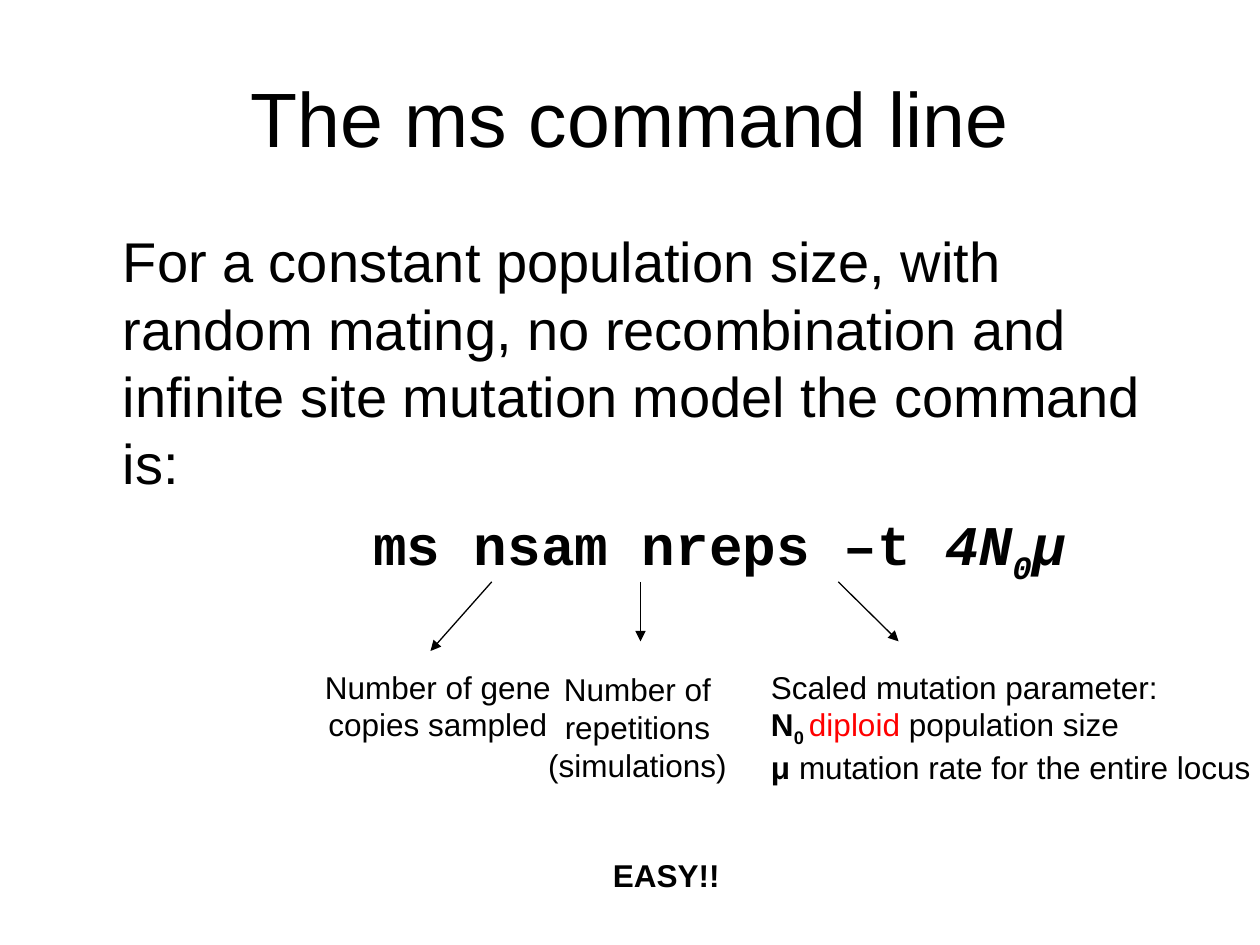
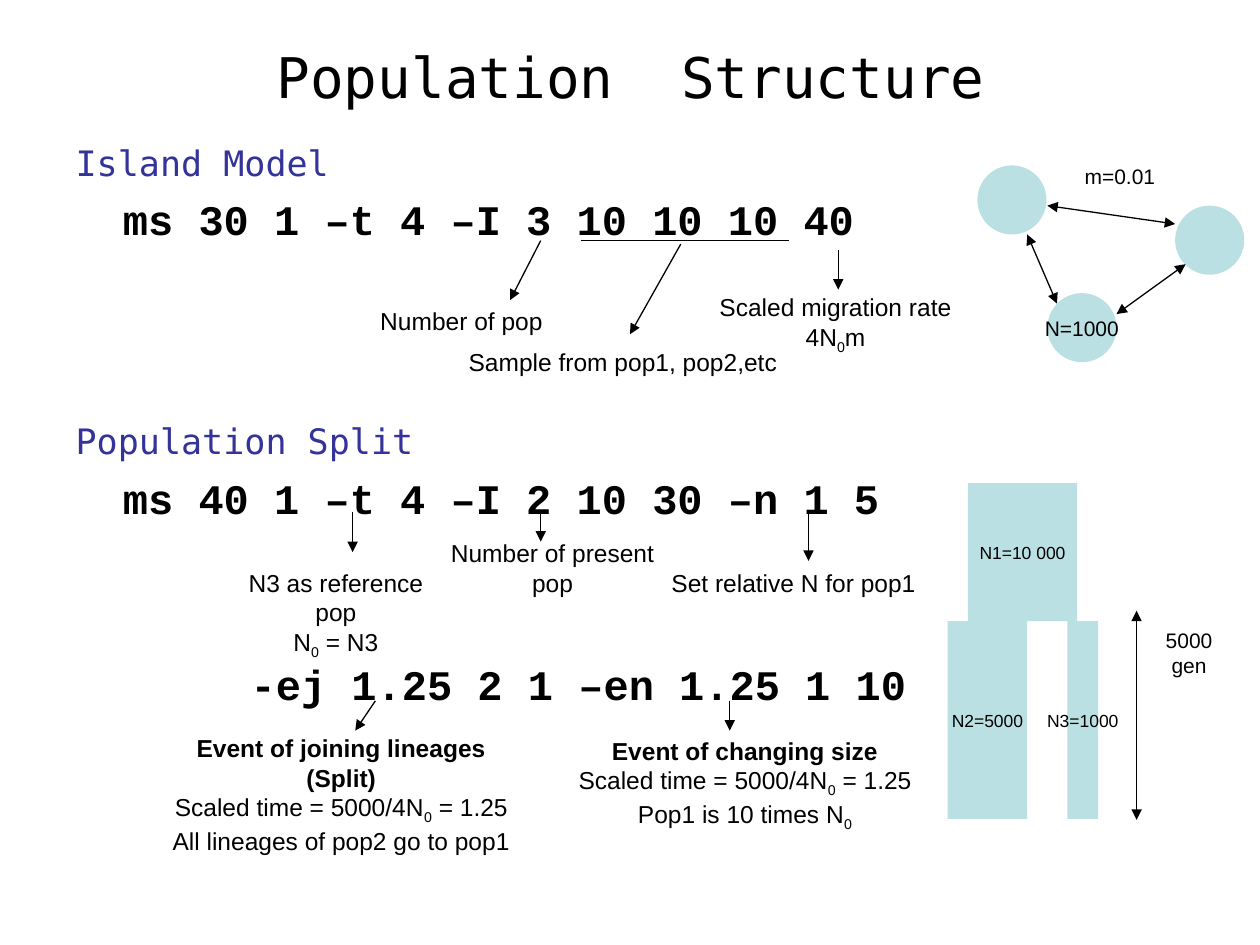
from dataclasses import dataclass

from lxml.etree import SubElement
from pptx import Presentation
from pptx.dml.color import RGBColor
from pptx.enum.shapes import MSO_CONNECTOR, MSO_SHAPE
from pptx.enum.text import MSO_ANCHOR as Anchor, MSO_AUTO_SIZE as AutoSize, PP_ALIGN as Align
from pptx.oxml.ns import qn
from pptx.util import Pt


@dataclass(frozen=True)
class Theme:
    ink: RGBColor = RGBColor(0, 0, 0)
    heading: RGBColor = RGBColor(0x33, 0x33, 0x99)
    alert: RGBColor = RGBColor(0xFF, 0, 0)
    population: RGBColor = RGBColor(0xBB, 0xE0, 0xE3)
    sans: str = "Arial"
    code: str = "Courier New"
    mono: str = "DejaVu Sans Mono"
    large: int = 18
    medium: int = 14
    small: int = 12
    tiny: int = 10
    line: float = 0.75


THEME = Theme()
PLAIN = {"name": THEME.sans, "color": THEME.ink, "bold": False}
TEXT = {**PLAIN, "size": Pt(32)}
HEADING = {**PLAIN, "name": THEME.mono, "size": Pt(20), "color": THEME.heading}
COMMAND = {**PLAIN, "name": THEME.code, "size": Pt(24), "bold": True}
BIG_COMMAND = {**COMMAND, "size": Pt(32)}
BOLD = {"bold": True}
SUB = {"baseline": -25}
ITALIC = {"italic": True}

# A line is a list of runs; a run is a string or (string, format changes).
N0 = ["N", ("0", SUB)]
SCALED_TIME = ["Scaled time = 5000/4", *N0, " = 1.25"]

COMMAND_LINE = {
    "title": ("The ms command line", (36, 21.5, 648, 90), {**PLAIN, "size": Pt(44)}),
    "body_box": (36, 126, 648, 399),
    # runs, format, left margin, space before
    "body": [
        (["For a constant population size, with random mating, no recombination "
          "and infinite site mutation model the command is:"], TEXT, 27, 8),
        (["ms nsam nreps –t ", ("4N", ITALIC), ("0", {**ITALIC, **SUB}),
          ("μ", {**ITALIC, "name": THEME.sans})], BIG_COMMAND, 170, 8),
    ],
    "arrows": [
        (281, 332.5, 246, 372),
        (366, 332.5, 366, 366.5),
        (479, 332.5, 513.5, 366.5),
    ],
    # box, lines, size, alignment, wrap
    "labels": [
        ((178.5, 378, 143.5, 50.5), [["Number of gene copies sampled"]],
         THEME.large, Align.CENTER, True),
        ((292.5, 379.5, 143.5, 72), [["Number of repetitions (simulations)"]],
         THEME.large, Align.CENTER, True),
        ((433.5, 378, 332, 75), [
            ["Scaled mutation parameter:"],
            [("N", BOLD), ("0 ", {**BOLD, **SUB}), ("diploid", {"color": THEME.alert}),
             " population size"],
            [("μ", BOLD), " mutation rate for the entire locus"],
        ], THEME.large, Align.LEFT, True),
        ((309, 485.5, 143.5, 29), [[("EASY!!", BOLD)]], THEME.large, Align.CENTER, True),
    ],
}


def caption(left, top, width, lines, size=THEME.medium):
    """A centred, unwrapped label whose height follows its number of lines."""
    return (left, top, width, 7.2 + 1.2 * size * len(lines)), lines, size, Align.CENTER, False


STRUCTURE = {
    "title": ("Population  Structure", (36.5, -1.5, 648, 90),
              {**PLAIN, "name": THEME.mono, "size": Pt(32)}),
    "body_box": (36, 77, 648, 465),
    "body": [
        (["Island Model"], HEADING, 0, 5),
        (["ms 30 1 –t 4 –I 3 10 10 10 40"], COMMAND, 27, 6),
        (["Population Split"], HEADING, 0, 100.5),
        (["ms 40 1 –t 4 –I 2 10 30 –n 1 5"], COMMAND, 27, 6),
        (["-ej 1.25 2 1 –en 1.25 1 10"], COMMAND, 100, 77.5),
    ],
    "arrows": [
        (309, 137.5, 291.5, 171.5),
        (389, 139.5, 360, 191),
        (479, 143, 479, 165.5),
        (309, 292.5, 309, 309.5),
        (462, 292.5, 462, 320.5),
        (201.5, 292.5, 201.5, 315.5),
        (214.5, 400.5, 203, 417.5),
        (417, 400.5, 417, 417.5),
    ],
    "labels": [
        caption(612.5, 90, 55, [["m=0.01"]], THEME.small),
        caption(210, 171.5, 107.5, [["Number of pop"]]),
        caption(260.5, 195, 191, [["Sample from pop1, pop2,etc"]]),
        caption(404, 163.5, 147, [["Scaled migration rate"], ["4", *N0, "m"]]),
        caption(647.5, 355, 64, [["5000 gen"]], THEME.small),
        caption(237, 304, 157.5, [["Number of present pop"]]),
        caption(376.5, 321, 154, [["Set relative N for pop1"]]),
        caption(121.5, 321, 141, [["N3 as reference pop"], [*N0, " = N3"]]),
        caption(83.5, 415.5, 223, [[("Event of joining lineages (Split)", BOLD)], SCALED_TIME,
                                   ["All lineages of pop2 go to pop1"]]),
        caption(323.5, 417, 204.5, [[("Event of changing size", BOLD)], SCALED_TIME,
                                    ["Pop1 is 10 times ", *N0]]),
    ],
}
ISLAND_SIZE = 39.5
ISLANDS = [(558.5, 94.5, ""), (671.5, 117.5, ""), (598.5, 167.5, "N=1000")]
SPLIT_TOP, SPLIT_Y, SPLIT_BOTTOM = 276, 355, 468
# left, width, top, bottom, label
BRANCHES = [
    (553, 62.5, SPLIT_TOP, SPLIT_Y, "N1=10 000"),
    (541.5, 45.5, SPLIT_Y, SPLIT_BOTTOM, "N2=5000"),
    (610, 17.5, SPLIT_Y, SPLIT_BOTTOM, "N3=1000"),
]
TWO_WAY_ARROWS = [
    (587, 134, 604, 173.5),
    (598.5, 117.5, 671.5, 128),
    (677.5, 151, 638, 179.5),
    (649.5, 349, 649.5, 468.5),
]
SAMPLE_UNDERLINE = (332, 137.5, 451, 137.5)


def points(values):
    return [Pt(value) for value in values]


def set_all(target, values):
    for key, value in values.items():
        setattr(target, key, value)


def write_line(paragraph, runs, base):
    for item in runs:
        text, changes = (item, {}) if isinstance(item, str) else item
        style = {**base, **changes}
        run = paragraph.add_run()
        run.text = text
        run.font.color.rgb = style.pop("color")
        baseline = style.pop("baseline", 0)
        set_all(run.font, style)
        if baseline:
            run._r.get_or_add_rPr().set("baseline", str(baseline * 1000))


def next_paragraph(frame, index):
    return frame.add_paragraph() if index else frame.paragraphs[0]


def place(shape, box):
    set_all(shape, dict(zip(("left", "top", "width", "height"), points(box))))


def fill_title(slide, text, box, style):
    title = slide.shapes.title
    place(title, box)
    set_all(title.text_frame, {"vertical_anchor": Anchor.MIDDLE, "auto_size": AutoSize.NONE})
    paragraph = title.text_frame.paragraphs[0]
    paragraph.alignment = Align.CENTER
    write_line(paragraph, [text], style)


def fill_body(slide, box, lines):
    body = slide.placeholders[1]
    place(body, box)
    frame = body.text_frame
    set_all(frame, {"vertical_anchor": Anchor.TOP, "auto_size": AutoSize.NONE})
    for index, (runs, style, margin, space) in enumerate(lines):
        paragraph = next_paragraph(frame, index)
        paragraph.space_before = Pt(space)
        properties = paragraph._p.get_or_add_pPr()
        properties.set("marL", str(Pt(margin)))
        properties.set("indent", "0")
        SubElement(properties, qn("a:buNone"))
        write_line(paragraph, runs, style)


def add_label(slide, box, lines, size, alignment, wrap):
    frame = slide.shapes.add_textbox(*points(box)).text_frame
    frame.word_wrap = wrap
    for index, runs in enumerate(lines):
        paragraph = next_paragraph(frame, index)
        paragraph.alignment = alignment
        write_line(paragraph, runs, {**PLAIN, "size": Pt(size)})


def add_line(slide, ends, heads=()):
    """Draw a line; heads names the ends ("headEnd", "tailEnd") that carry an arrowhead."""
    connector = slide.shapes.add_connector(MSO_CONNECTOR.STRAIGHT, *points(ends))
    connector.line.color.rgb = THEME.ink
    connector.line.width = Pt(THEME.line)
    outline = connector.line._get_or_add_ln()
    for head in heads:
        SubElement(outline, qn(f"a:{head}"), type="triangle")
    SubElement(connector._element.spPr, qn("a:effectLst"))


def add_population(slide, preset, box, label, size):
    shape = slide.shapes.add_shape(preset, *points(box))
    shape.shadow.inherit = False
    shape.fill.solid()
    shape.fill.fore_color.rgb = THEME.population
    shape.line.fill.background()
    if label:
        frame = shape.text_frame
        set_all(frame, {"word_wrap": False, "vertical_anchor": Anchor.MIDDLE})
        frame.paragraphs[0].alignment = Align.CENTER
        write_line(frame.paragraphs[0], [label], {**PLAIN, "size": Pt(size)})


def add_command_slide(deck, content):
    slide = deck.slides.add_slide(deck.slide_layouts[1])
    fill_title(slide, *content["title"])
    fill_body(slide, content["body_box"], content["body"])
    for ends in content["arrows"]:
        add_line(slide, ends, ["tailEnd"])
    return slide


def add_labels(slide, content):
    for label in content["labels"]:
        add_label(slide, *label)


def add_population_diagrams(slide):
    for left, top, label in ISLANDS:
        add_population(slide, MSO_SHAPE.OVAL, (left, top, ISLAND_SIZE, ISLAND_SIZE),
                       label, THEME.small)
    for left, width, top, bottom, label in BRANCHES:
        add_population(slide, MSO_SHAPE.RECTANGLE, (left, top, width, bottom - top),
                       label, THEME.tiny)
    for ends in TWO_WAY_ARROWS:
        add_line(slide, ends, ["headEnd", "tailEnd"])
    add_line(slide, SAMPLE_UNDERLINE)


def main():
    deck = Presentation()
    deck.slide_width, deck.slide_height = points((720, 540))
    add_labels(add_command_slide(deck, COMMAND_LINE), COMMAND_LINE)
    structure = add_command_slide(deck, STRUCTURE)
    add_population_diagrams(structure)
    add_labels(structure, STRUCTURE)
    deck.save("out.pptx")


if __name__ == "__main__":
    main()
